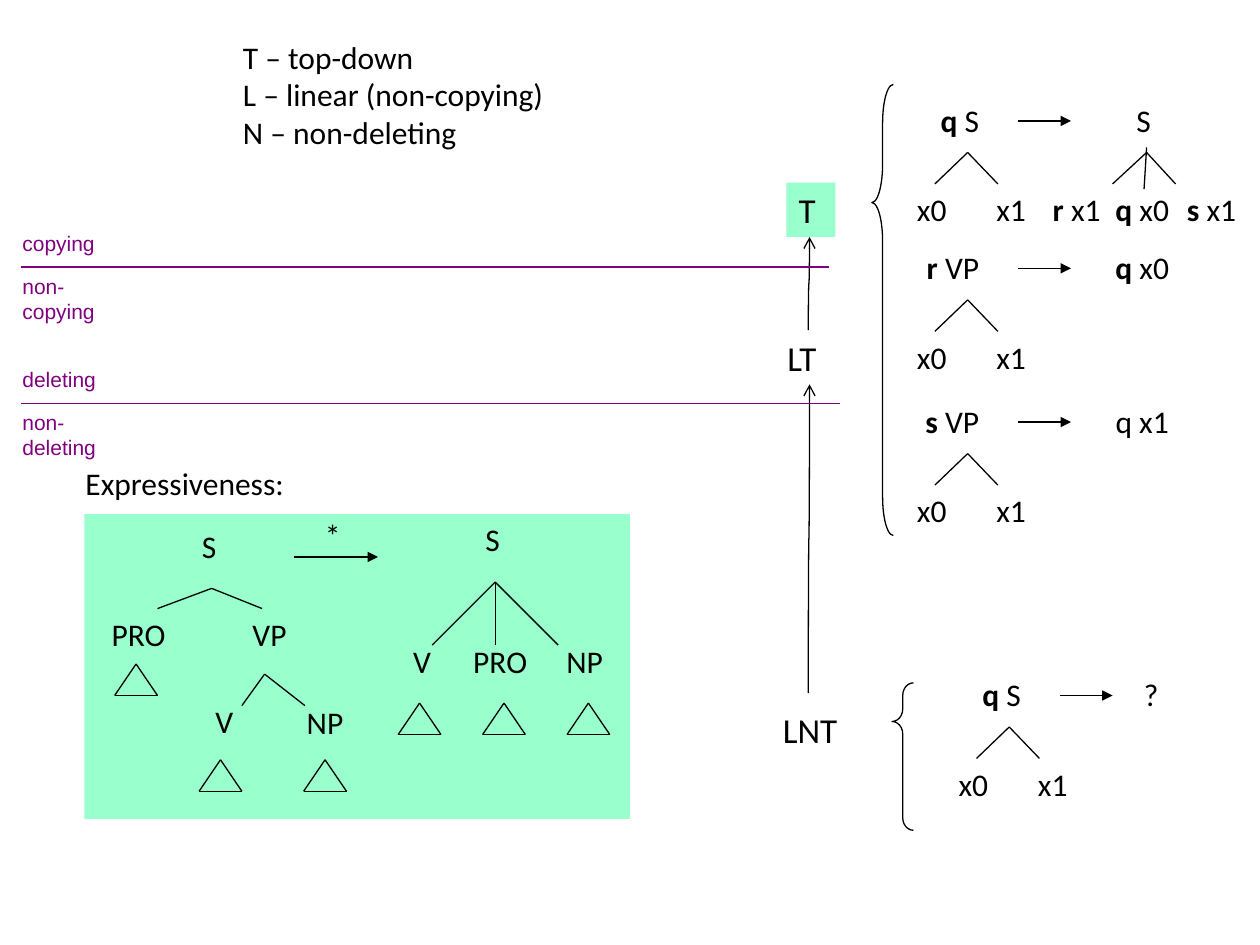
from dataclasses import dataclass

from lxml import etree
from pptx import Presentation
from pptx import util as u
from pptx.dml.color import RGBColor
from pptx.enum import shapes, text
from pptx.oxml import ns


@dataclass(frozen=True)
class Theme:
    ink: RGBColor = RGBColor(0x00, 0x00, 0x00)
    mint: RGBColor = RGBColor(0x99, 0xFF, 0xCC)
    purple: RGBColor = RGBColor(0x80, 0x00, 0x80)
    font: str = "Calibri"
    label_font: str = "Arial"
    class_size: int = 20
    body_size: int = 18
    label_size: int = 12
    stroke: float = 0.75


THEME = Theme()
LEFT, CENTER, RIGHT = text.PP_ALIGN.LEFT, text.PP_ALIGN.CENTER, text.PP_ALIGN.RIGHT


def fill_text(frame, content, lead="", size=THEME.body_size, font=THEME.font,
              color=THEME.ink, align=LEFT):
    """Write the lines of content, with an optional bold lead on the first."""
    frame.word_wrap = True
    frame.vertical_anchor = text.MSO_ANCHOR.TOP
    for index, line in enumerate(content.split("\n")):
        para = frame.paragraphs[0] if index == 0 else frame.add_paragraph()
        para.alignment = align
        spans = [(lead, True)] if lead and index == 0 else []
        for words, bold in spans + [(line, False)]:
            span = para.add_run()
            span.text = words
            span.font.name, span.font.size = font, u.Pt(size)
            span.font.bold = bold
            span.font.color.rgb = color


def add_text(canvas, content, left, top, width, height=0.4, **style):
    box = canvas.add_textbox(*map(u.Inches, (left, top, width, height)))
    fill_text(box.text_frame, content, **style)


def add_line(canvas, start, end, color=THEME.ink, arrow=None,
             kind=shapes.MSO_CONNECTOR.STRAIGHT):
    line = canvas.add_connector(kind, *map(u.Inches, (*start, *end)))
    line.line.color.rgb = color
    line.line.width = u.Pt(THEME.stroke)
    if arrow:
        etree.SubElement(line.line._get_or_add_ln(), ns.qn("a:tailEnd"), type=arrow)
    etree.SubElement(line._element.spPr, ns.qn("a:effectLst"))
    return line


def add_rising_arrow(canvas, x, bottom, top):
    """Curved connector laid out flat, then turned to point upward."""
    middle, half, drift = (top + bottom) / 2, (bottom - top) / 2, 0.005
    line = add_line(canvas, (x - half, middle - drift), (x + half, middle + drift),
                    arrow="arrow", kind=shapes.MSO_CONNECTOR.CURVE)
    line._element.spPr.find(ns.qn("a:xfrm")).set("rot", str(270 * 60000))


def add_panel(canvas, left, top, width, height):
    panel = canvas.add_shape(shapes.MSO_SHAPE.RECTANGLE,
                             *map(u.Inches, (left, top, width, height)))
    panel.shadow.inherit = False
    panel.fill.solid()
    panel.fill.fore_color.rgb = THEME.mint
    panel.line.fill.background()
    return panel


def add_brace(canvas, left, top, height, curl):
    brace = canvas.add_shape(shapes.MSO_SHAPE.LEFT_BRACE,
                             *map(u.Inches, (left, top, 0.17, height)))
    brace.shadow.inherit = False
    brace.fill.background()
    brace.line.color.rgb = THEME.ink
    brace.line.width = u.Pt(THEME.stroke)
    brace.adjustments[0], brace.adjustments[1] = curl, 0.262


def add_branches(canvas, apex, *ends):
    for end in ends:
        add_line(canvas, apex, end)


def add_triangle(canvas, x, top):
    """Outline that stands for an unexpanded subtree."""
    peak, left, right = (x, top), (x - 0.17, top + 0.25), (x + 0.17, top + 0.25)
    for start, end in ((peak, left), (right, peak), (left, right)):
        add_line(canvas, start, end)


def add_rule(canvas, x, y, state, label):
    """Left side of a transducer rule, with its arrow."""
    add_line(canvas, (x + 0.91, y + 0.21), (x + 1.33, y + 0.21), arrow="triangle")
    add_text(canvas, f" {label}", x, y, 0.7, lead=state, align=RIGHT)
    leaves = y + 0.71
    add_branches(canvas, (x + 0.51, y + 0.46), (x + 0.25, leaves), (x + 0.75, leaves))
    for name, offset in (("x0", 0), ("x1", 0.63)):
        add_text(canvas, name, x + offset, leaves, 0.45, align=CENTER)


def add_hierarchy(canvas):
    for content, left, top, width in (("LNT", 6.06, 5.57, 0.74), ("LT", 6.15, 2.62, 0.54)):
        add_text(canvas, content, left, top, width, 0.43,
                 size=THEME.class_size, align=CENTER if content == "LNT" else LEFT)
    top_class = add_panel(canvas, 6.24, 1.45, 0.39, 0.43)
    fill_text(top_class.text_frame, "T", size=THEME.class_size)
    add_rising_arrow(canvas, 6.42, 2.62, 1.88)
    add_rising_arrow(canvas, 6.42, 5.5, 3.05)
    for y, end, word in ((2.12, 6.58, "copying"), (3.2, 6.67, "deleting")):
        add_line(canvas, (0.17, y), (end, y), color=THEME.purple)
        for label, top in ((word, y - 0.34), (f"non-{word}", y)):
            add_text(canvas, label, 0.08, top, 1.1, 0.3, size=THEME.label_size,
                     font=THEME.label_font, color=THEME.purple)


def add_rules(canvas):
    add_brace(canvas, 6.92, 0.67, 3.58, 1.792)
    add_brace(canvas, 7.08, 5.42, 1.17, 0.583)
    for x, y, state, label in ((7.17, 0.75, "q", "S"), (7.17, 1.92, "r", "VP"),
                               (7.17, 3.14, "s", "VP"), (7.5, 5.31, "q", "S")):
        add_rule(canvas, x, y, state, label)

    add_text(canvas, "S", 8.92, 0.75, 0.34)
    add_branches(canvas, (9.1, 1.21), (8.83, 1.46), (9.33, 1.46))
    add_line(canvas, (9.1, 1.17), (9.08, 1.5))
    for state, name, left, top in (("r", " x1", 8.22, 1.46), ("q", " x0", 8.74, 1.46),
                                   ("s", " x1", 9.29, 1.46), ("q", " x0", 8.74, 1.92),
                                   ("", "q x1", 8.74, 3.14)):
        add_text(canvas, name, left, top, 0.65, lead=state, align=CENTER)
    add_text(canvas, "?", 8.98, 5.31, 0.35)


def add_expressiveness(canvas):
    add_text(canvas, "Expressiveness:", 0.58, 3.63, 2.33, 0.5)
    group = canvas.add_group_shape().shapes
    add_panel(group, 0.67, 4.08, 4.33, 2.42)
    add_line(group, (2.33, 4.42), (3, 4.42), arrow="triangle")
    add_text(group, "*", 2.48, 4.05, 0.37, 0.5)

    add_branches(group, (1.68, 4.67), (1.25, 4.83), (2.08, 4.83))
    add_branches(group, (2.1, 5.35), (2.42, 5.6), (1.92, 5.6))
    add_branches(group, (3.93, 4.62), (3.43, 5.12), (3.93, 5.12), (4.43, 5.12))

    width = 0.86
    for name, x, top in (("S", 1.66, 4.13), ("PRO", 1.1, 4.83), ("VP", 2.14, 4.83),
                         ("V", 1.78, 5.52), ("NP", 2.58, 5.53), ("S", 3.91, 4.08),
                         ("V", 3.35, 5.05), ("PRO", 3.97, 5.05), ("NP", 4.64, 5.05)):
        add_text(group, name, x - width / 2, top, width, 0.5, align=CENTER)
    for x, top in ((1.08, 5.27), (1.75, 6.03), (2.58, 6.03),
                   (3.33, 5.58), (4, 5.58), (4.67, 5.58)):
        add_triangle(group, x, top)


def main():
    deck = Presentation()
    deck.slide_width, deck.slide_height = u.Inches(10), u.Inches(7.5)
    canvas = deck.slides.add_slide(deck.slide_layouts[6]).shapes
    add_hierarchy(canvas)
    add_rules(canvas)
    add_text(canvas, "T – top-down\nL – linear (non-copying)\nN – non-deleting",
             1.83, 0.25, 3.48, 1.3)
    add_expressiveness(canvas)
    deck.save("out.pptx")


if __name__ == "__main__":
    main()
